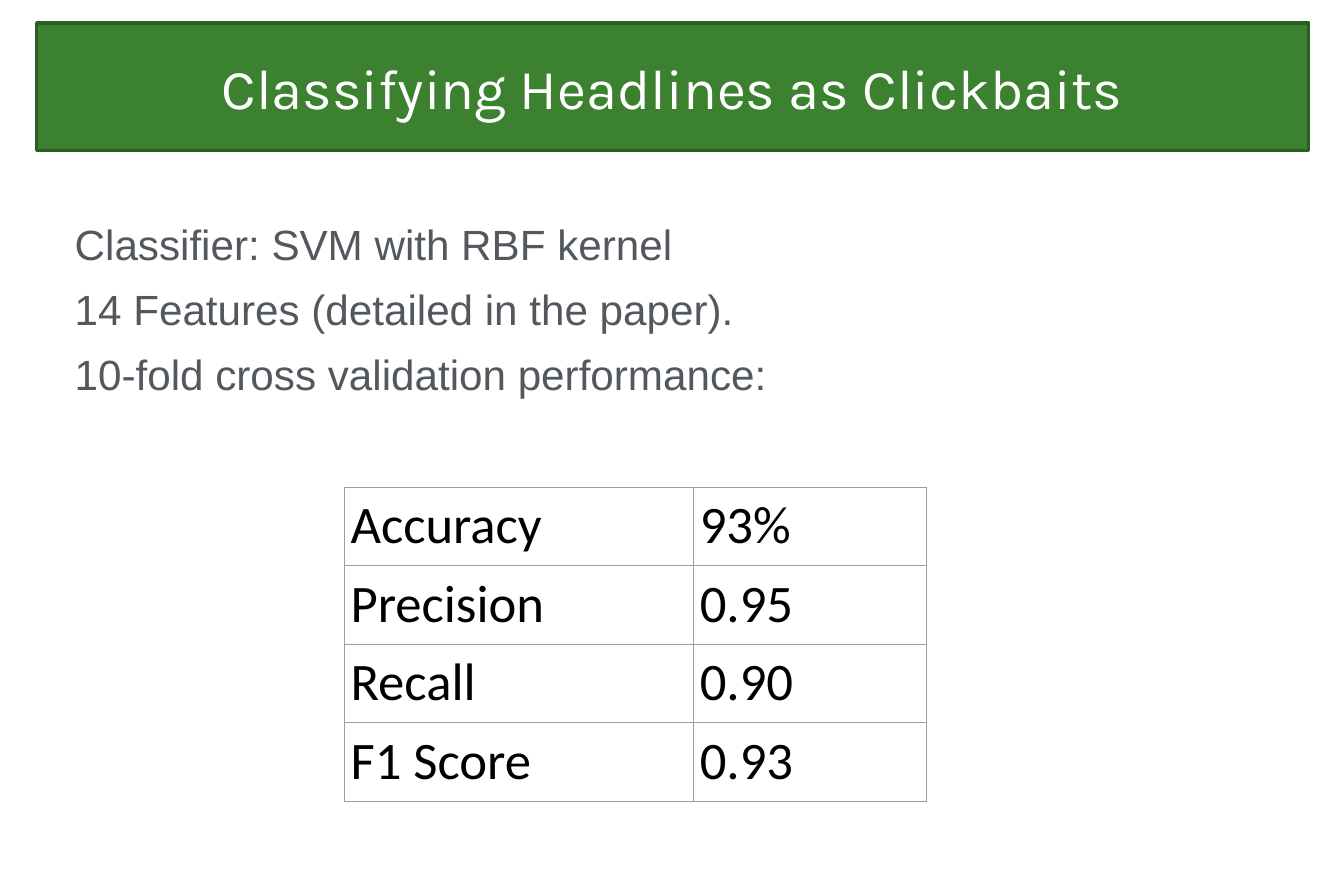
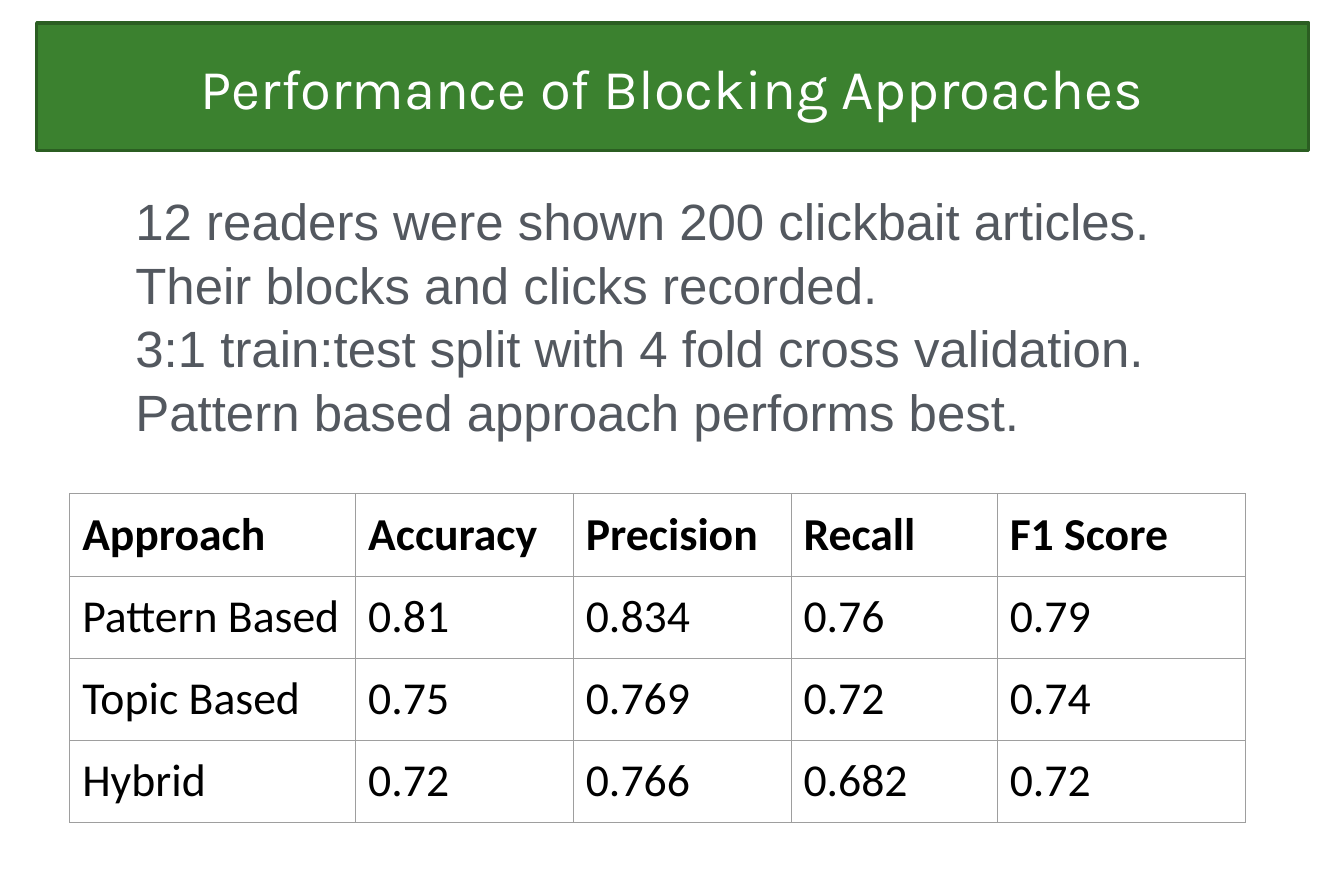
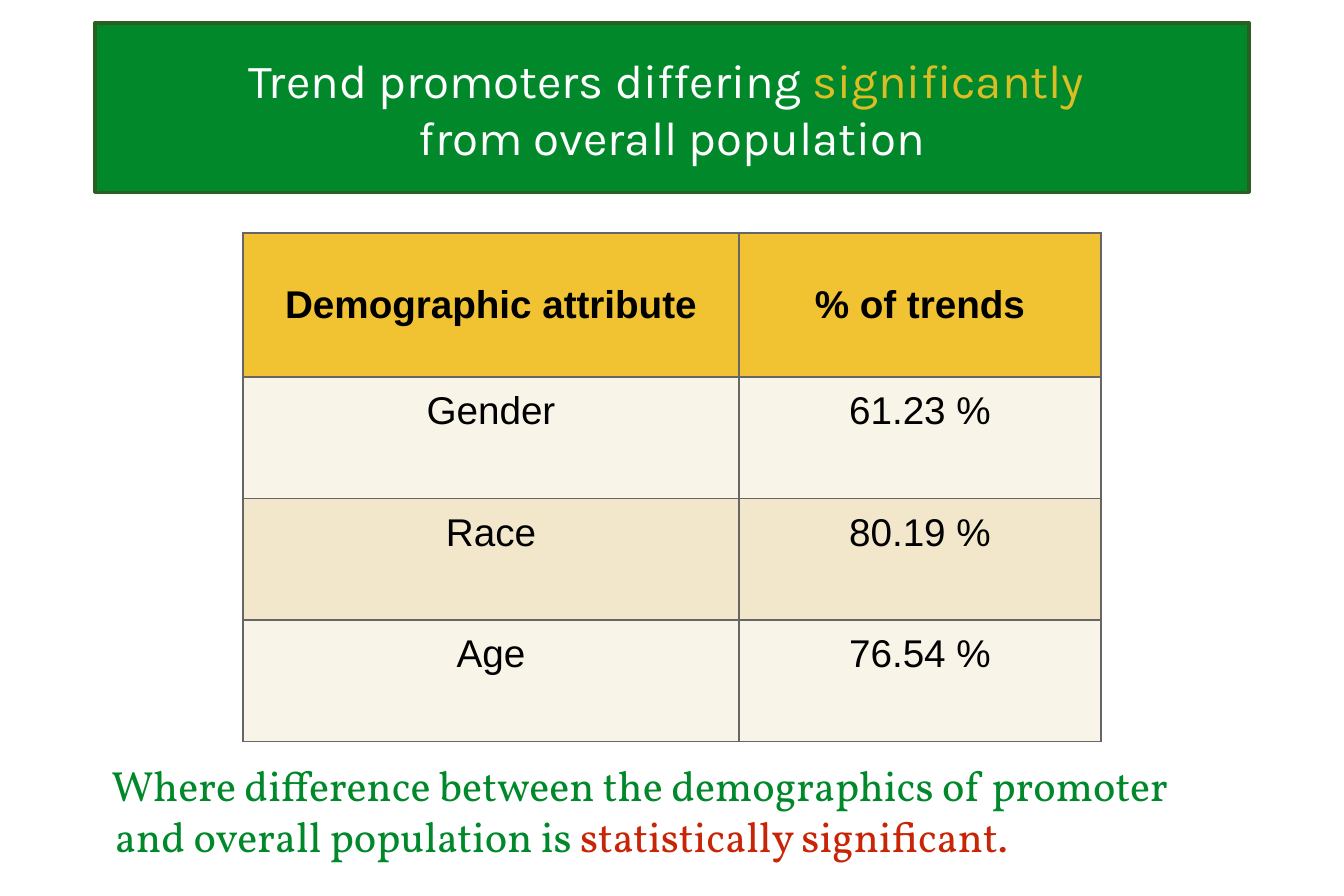
from dataclasses import dataclass
from itertools import chain

from pptx import Presentation
from pptx.dml.color import RGBColor
from pptx.enum.text import MSO_ANCHOR as Anchor, MSO_AUTO_SIZE as AutoSize, PP_ALIGN as Align
from pptx.oxml.ns import qn
from pptx.util import Emu, Pt
from lxml.etree import SubElement

EMU_PER_PX = 9144  # 100 px to the inch
SLIDE_SIZE = (1062, 708)
TITLE_ONLY = 5

# Colours
WHITE = RGBColor(0xFF, 0xFF, 0xFF)
BLACK = RGBColor(0x00, 0x00, 0x00)
LEAF = RGBColor(0x3B, 0x81, 0x2F)
EMERALD = RGBColor(0x00, 0x88, 0x2B)
BAND_EDGE = RGBColor(0x2B, 0x5E, 0x22)
SLATE = RGBColor(0x53, 0x58, 0x5F)
YELLOW = RGBColor(0xDC, 0xBD, 0x23)
RED = RGBColor(0xC8, 0x25, 0x06)
GOLD = RGBColor(0xF1, 0xC2, 0x32)
CREAM = RGBColor(0xF8, 0xF4, 0xE7)
SAND = RGBColor(0xF2, 0xE7, 0xCB)
LIGHT_GREY = RGBColor(0x9E, 0x9E, 0x9E)
DARK_GREY = RGBColor(0x66, 0x66, 0x66)

# Title bands: left, top, width, height
WIDE_BAND = (29, 18, 1005, 101)
TALL_BAND = (75, 18, 912, 134)


@dataclass
class TableStyle:
    font: str
    size: int
    border: RGBColor
    border_width: float
    inset: int = 10
    align: Align = Align.LEFT
    bold_header: bool = True
    header_fill: RGBColor = None
    row_fills: tuple = (None,)


def px(length):
    return Emu(length * EMU_PER_PX)


def set_box(shape, box):
    shape.left, shape.top, shape.width, shape.height = map(px, box)


def set_insets(owner, inset):
    """Give a text frame or table cell the same margin on every side."""
    owner.margin_left = owner.margin_right = px(inset)
    owner.margin_top = owner.margin_bottom = px(inset)


def add_run(paragraph, text, font, size, color, bold=False):
    run = paragraph.add_run()
    run.text = text
    run.font.name = font
    run.font.size = Pt(size)
    run.font.color.rgb = color
    run.font.bold = bold


def fill_text(frame, paragraphs, font, size, inset=7, align=Align.LEFT,
              space_before=0, line_spacing=1.0):
    """Write paragraphs, each a list of (text, colour) runs."""
    frame.word_wrap = True
    frame.auto_size = AutoSize.NONE
    set_insets(frame, inset)
    for index, runs in enumerate(paragraphs):
        paragraph = frame.add_paragraph() if index else frame.paragraphs[0]
        paragraph.alignment = align
        paragraph.line_spacing = line_spacing
        paragraph.space_before = Pt(space_before if index else 0)
        for text, color in runs:
            add_run(paragraph, text, font, size, color)


def add_titled_slide(presentation, paragraphs, size=32, box=WIDE_BAND, fill=LEAF):
    slide = presentation.slides.add_slide(presentation.slide_layouts[TITLE_ONLY])
    title = slide.shapes.title
    set_box(title, box)
    title.fill.solid()
    title.fill.fore_color.rgb = fill
    title.line.color.rgb = BAND_EDGE
    title.line.width = Pt(2)
    title.text_frame.vertical_anchor = Anchor.MIDDLE
    fill_text(title.text_frame, paragraphs, "Karla", size, align=Align.CENTER)
    return slide


def add_text(slide, box, paragraphs, font, size, **options):
    text_box = slide.shapes.add_textbox(*map(px, box))
    fill_text(text_box.text_frame, paragraphs, font, size, **options)
    return text_box


def set_borders(cell, color, width):
    properties = cell._tc.get_or_add_tcPr()
    for side in ("a:lnL", "a:lnR", "a:lnT", "a:lnB"):
        line = SubElement(properties, qn(side), w=str(Pt(width)))
        solid = SubElement(line, qn("a:solidFill"))
        SubElement(solid, qn("a:srgbClr"), val=str(color))


def add_table(slide, position, widths, heights, rows, style):
    size = (sum(widths), sum(heights))
    frame = slide.shapes.add_table(len(rows), len(widths), *map(px, position + size))
    table = frame.table
    table.first_row = table.horz_banding = False
    for line, length in chain(zip(table.columns, widths)):
        line.width = px(length)
    for row_index, (height, texts) in enumerate(zip(heights, rows)):
        table.rows[row_index].height = px(height)
        header = style.bold_header and row_index == 0
        fill = style.header_fill if header else style.row_fills[(row_index - 1) % len(style.row_fills)]
        for column_index, text in enumerate(texts):
            cell = table.cell(row_index, column_index)
            set_insets(cell, style.inset)
            cell.vertical_anchor = Anchor.MIDDLE if header else Anchor.TOP
            set_borders(cell, style.border, style.border_width)
            if fill is None:
                cell.fill.background()
            else:
                cell.fill.solid()
                cell.fill.fore_color.rgb = fill
            paragraph = cell.text_frame.paragraphs[0]
            paragraph.alignment = style.align
            add_run(paragraph, text, style.font, style.size, BLACK, header)


def add_classifier_slide(presentation):
    slide = add_titled_slide(presentation, [[("Classifying Headlines as Clickbaits", WHITE)]])
    lines = ["Classifier: SVM with RBF kernel",
             "14 Features (detailed in the paper).",
             "10-fold cross validation performance:"]
    add_text(slide, (52, 164, 778, 207), [[(line, SLATE)] for line in lines],
             "Arial", 24, space_before=7, line_spacing=1.04)
    scores = [("Accuracy", "93%"), ("Precision", "0.95"),
              ("Recall", "0.90"), ("F1 Score", "0.93")]
    style = TableStyle("Calibri", 30, LIGHT_GREY, 0.25, inset=5, bold_header=False)
    add_table(slide, (272, 385), (276, 184), (62,) * 4, scores, style)


def add_blocking_slide(presentation):
    slide = add_titled_slide(presentation, [[("Performance of Blocking Approaches", WHITE)]])
    lines = ["12 readers were shown 200 clickbait articles.",
             "Their blocks and clicks recorded.",
             "3:1 train:test split with 4 fold cross validation.",
             "Pattern based approach performs best."]
    add_text(slide, (100, 141, 886, 229), [[(line, SLATE)] for line in lines],
             "Arial", 29, line_spacing=1.04)
    results = [("Approach", "Accuracy", "Precision", "Recall", "F1 Score"),
               ("Pattern Based", "0.81", "0.834", "0.76", "0.79"),
               ("Topic Based", "0.75", "0.769", "0.72", "0.74"),
               ("Hybrid", "0.72", "0.766", "0.682", "0.72")]
    add_table(slide, (55, 390), (226, 172, 172, 163, 196), (65,) * 4, results,
              TableStyle("Calibri", 26, LIGHT_GREY, 0.25))


def add_promoters_slide(presentation):
    title = [[("Trend promoters differing ", WHITE), ("significantly ", YELLOW)],
             [("from overall population", WHITE)]]
    slide = add_titled_slide(presentation, title, 27, TALL_BAND, EMERALD)
    shares = [("Demographic attribute", "% of trends"), ("Gender", "61.23 %"),
              ("Race", "80.19 %"), ("Age", "76.54 %")]
    style = TableStyle("Arial", 22, DARK_GREY, 1, align=Align.CENTER,
                       header_fill=GOLD, row_fills=(CREAM, SAND))
    add_table(slide, (192, 184), (392, 286), (114, 96, 96, 96), shares, style)
    note = [[("Where difference between the demographics of promoter and overall population is ", EMERALD),
             ("statistically significant.", RED)]]
    text_box = add_text(slide, (84, 596, 894, 112), note, "Vollkorn", 24, inset=4)
    # Hanging indent: the first line starts slightly further left
    properties = text_box.text_frame.paragraphs[0]._p.get_or_add_pPr()
    properties.set("marL", str(px(3)))
    properties.set("indent", str(px(-3)))


def main():
    presentation = Presentation()
    presentation.slide_width, presentation.slide_height = map(px, SLIDE_SIZE)
    add_classifier_slide(presentation)
    add_blocking_slide(presentation)
    add_promoters_slide(presentation)
    presentation.save("out.pptx")


if __name__ == "__main__":
    main()
